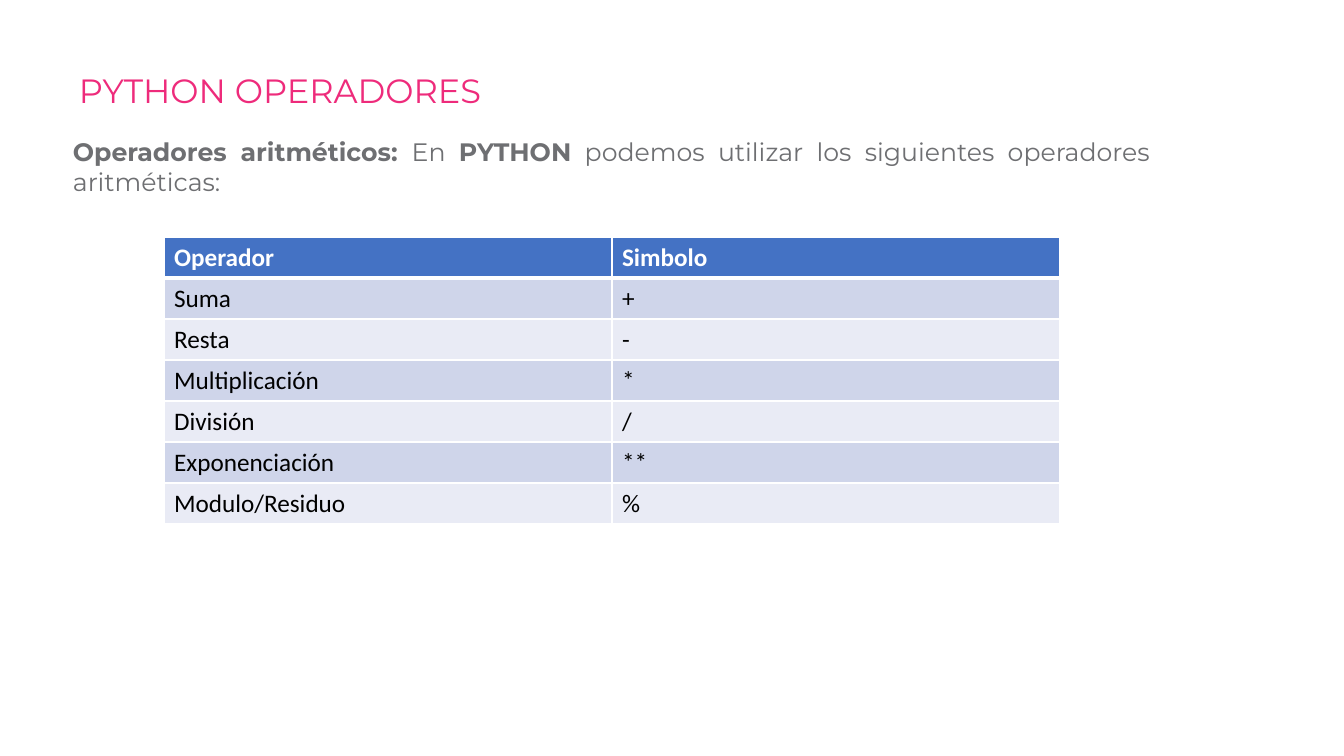
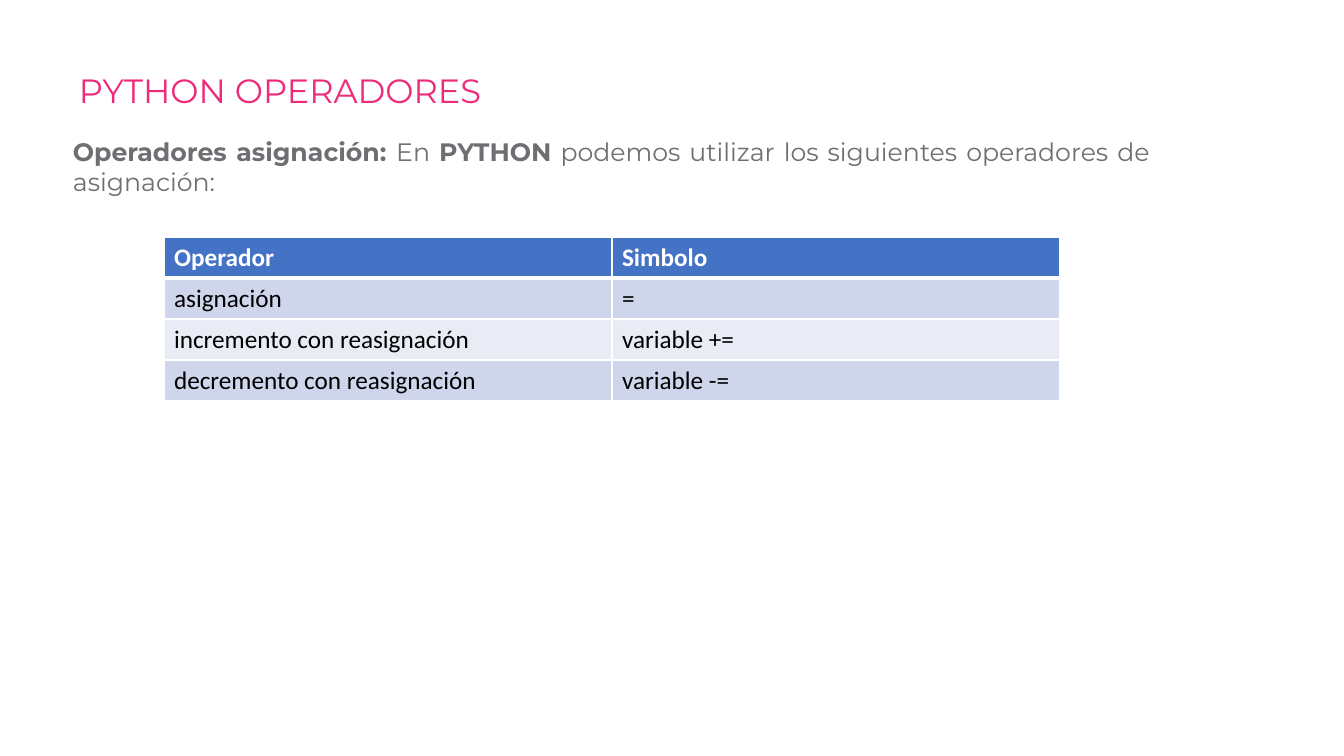
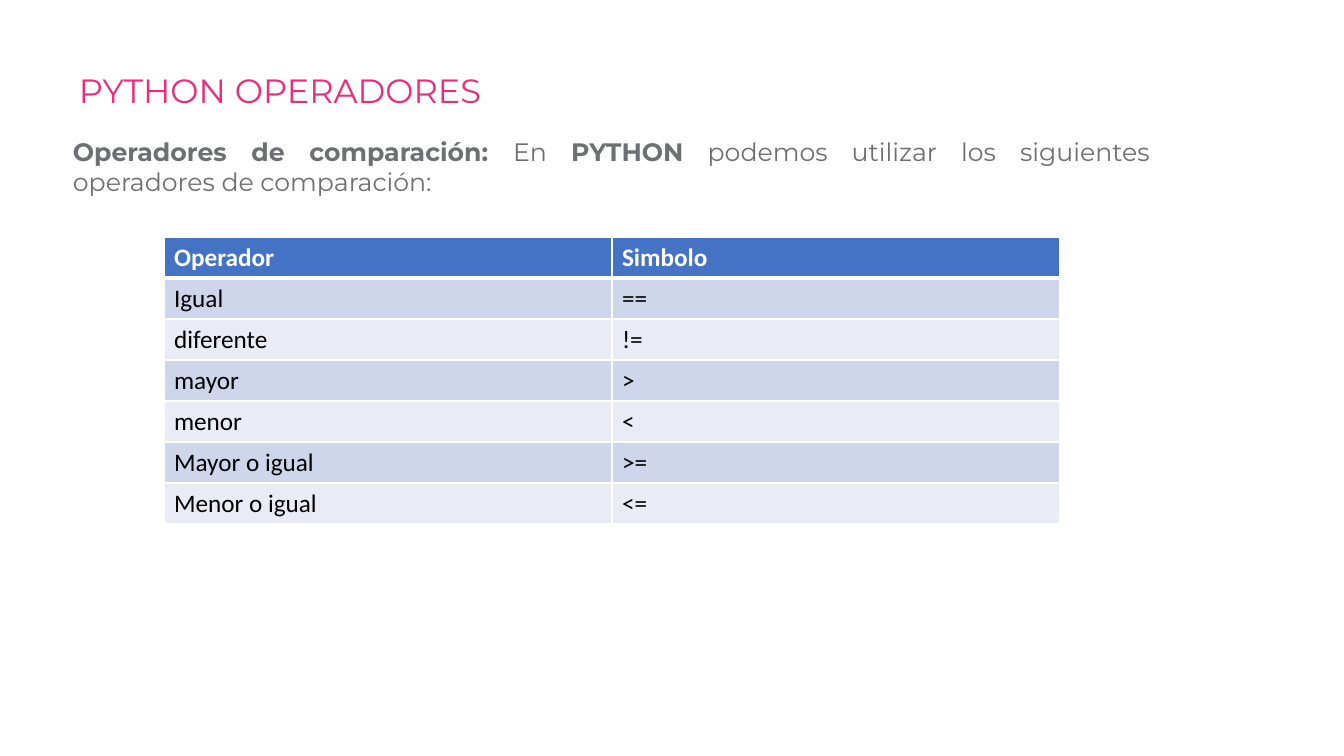
"""Build three slides on Python operators, each with a title, an intro and a table."""
import pptx
import pptx.dml.color
import pptx.enum.text
import pptx.oxml
import pptx.oxml.ns
import pptx.util

TITLE = "PYTHON OPERADORES"
HEAD = ("Operador", "Simbolo")
SLIDES = [
    ("Operadores aritméticos: ", "operadores aritméticas:", [
        ("Suma", "+"),
        ("Resta", "-"),
        ("Multiplicación", "*"),
        ("División", "/"),
        ("Exponenciación", "**"),
        ("Modulo/Residuo", "%"),
    ]),
    ("Operadores asignación: ", "operadores de asignación:", [
        ("asignación", "="),
        ("incremento con reasignación", "variable +="),
        ("decremento con reasignación", "variable -="),
    ]),
    ("Operadores de comparación: ", "operadores de comparación:", [
        ("Igual", "=="),
        ("diferente", "!="),
        ("mayor", ">"),
        ("menor", "<"),
        ("Mayor o igual", ">="),
        ("Menor o igual", "<="),
    ]),
]

PINK, GRAY, WHITE, BLACK = "EE2B7B", "6E6F72", "FFFFFF", "000000"
BLUE, BANDS = "4472C4", ("CFD5EA", "E9EBF5")
WIDE, HIGH = 1344, 756
TITLE_BOX = (69, 69, 1159, 146)
INTRO_BOX = (63, 131, 1097, 71)
LEFT, TOP, COL, ROW = 164, 237, 448, 41
THIN, THICK = 1, 3
TITLE_FONT = {"name": "Montserrat", "size": pptx.util.Pt(24), "bold": False}
INTRO_FONT = {"name": "Montserrat", "size": pptx.util.Pt(18)}
CELL_FONT = {"name": "Calibri", "size": pptx.util.Pt(18)}


def px(count):
    return round(count * 914400 / 100.8)


def color(code):
    return pptx.dml.color.RGBColor.from_string(code)


def write(para, text, code, style):
    run = para.add_run()
    run.text = text
    for key, value in style.items():
        setattr(run.font, key, value)
    run.font.color.rgb = color(code)


def add_text(slide, box, parts, code, style, form):
    frame = slide.shapes.add_textbox(*map(px, box)).text_frame
    frame.word_wrap = True
    para = frame.paragraphs[0]
    for key, value in form.items():
        setattr(para, key, value)
    for text, bold in parts:
        write(para, text, code, {**style, "bold": bold})


def add_edge(cell, side, width):
    space = pptx.oxml.ns.nsdecls("a")
    line = pptx.oxml.parse_xml(
        f'<a:ln{side} {space} w="{pptx.util.Pt(width)}"><a:solidFill>'
        f'<a:srgbClr val="{WHITE}"/></a:solidFill></a:ln{side}>')
    cell._tc.get_or_add_tcPr().append(line)


def add_grid(slide, rows):
    size = (LEFT, TOP, COL * len(HEAD), ROW * len(rows))
    table = slide.shapes.add_table(len(rows), len(HEAD), *map(px, size)).table
    for r, texts in enumerate(rows):
        table.rows[r].height = px(ROW)
        fill = BANDS[(r - 1) % 2] if r else BLUE
        edges = {"L": THIN, "R": THIN,
                 "T": THICK if r == 1 else THIN,
                 "B": THIN if r else THICK}
        for c, text in enumerate(texts):
            cell = table.cell(r, c)
            for side, width in edges.items():
                add_edge(cell, side, width)
            cell.fill.solid()
            cell.fill.fore_color.rgb = color(fill)
            write(cell.text_frame.paragraphs[0], text,
                  BLACK if r else WHITE, {**CELL_FONT, "bold": r == 0})


def main():
    deck = pptx.Presentation()
    deck.slide_width, deck.slide_height = px(WIDE), px(HIGH)
    for topic, ending, rows in SLIDES:
        slide = deck.slides.add_slide(deck.slide_layouts[6])
        add_text(slide, TITLE_BOX, [(TITLE, False)], PINK, TITLE_FONT,
                 {"line_spacing": 0.9})
        intro = [(topic, True), ("En ", False), ("PYTHON", True),
                 (" podemos utilizar los siguientes " + ending, False)]
        add_text(slide, INTRO_BOX, intro, GRAY, INTRO_FONT,
                 {"alignment": pptx.enum.text.PP_ALIGN.JUSTIFY})
        add_grid(slide, [HEAD] + rows)
    deck.save("out.pptx")


if __name__ == "__main__":
    main()
